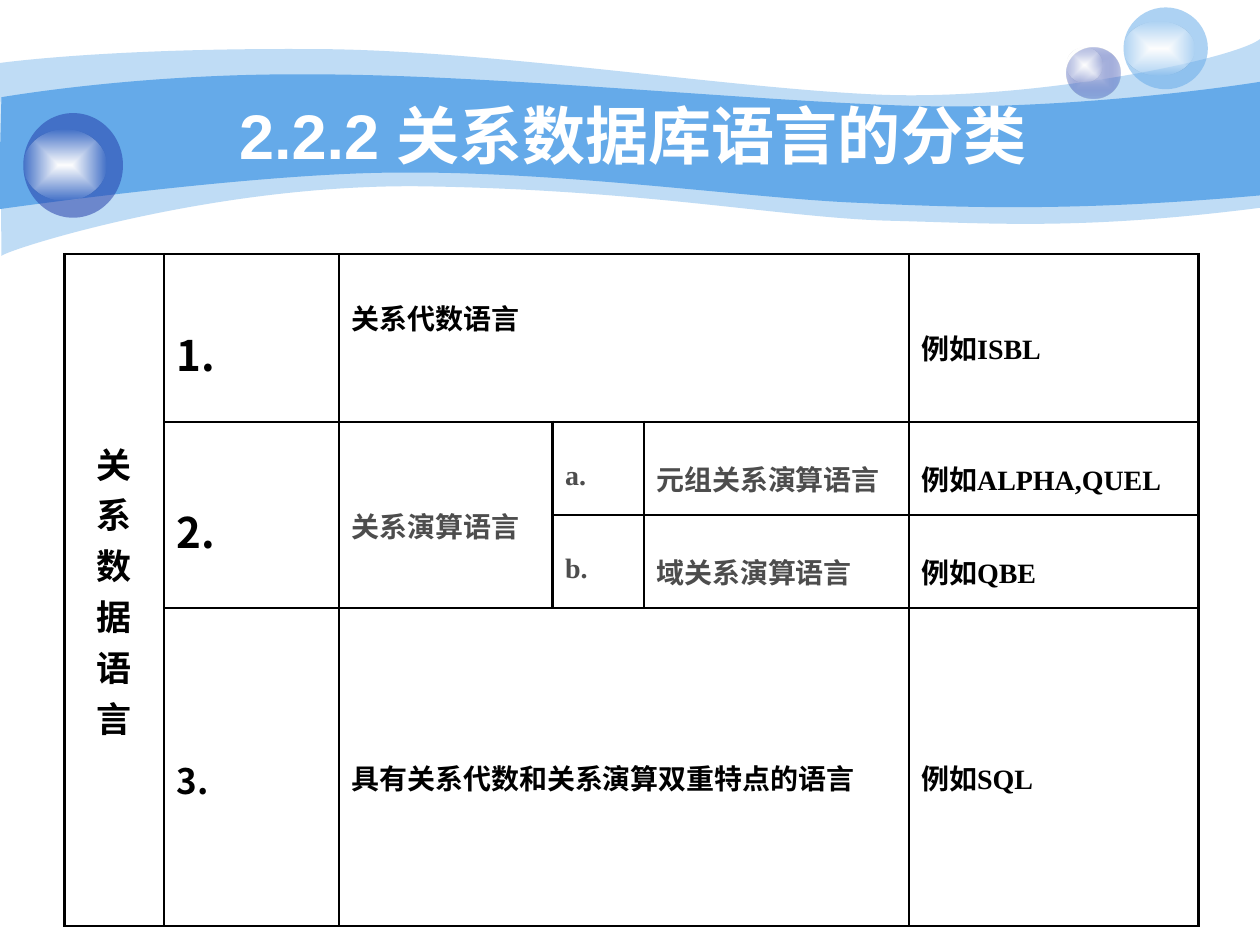
"""Build a slide that classifies relational database languages in a table."""
from dataclasses import dataclass

import lxml.etree
import pptx
import pptx.dml.color
import pptx.enum.shapes
import pptx.enum.text
import pptx.oxml.ns
import pptx.util
from pptx.util import Cm

SANS = "Noto Sans CJK SC"
SERIF = "Times New Roman"
SKY = "65AAE9"
NAVY = "233DA9"
WHITE = "FFFFFF"
BLACK = "000000"
GREY = "4D4D4D"
BORDER_POINTS = 1.47
COLUMN_WIDTHS = (2.01, 3.53, 4.3, 1.84, 5.34, 5.84)
ROW_HEIGHTS = (3.38, 1.88, 1.88, 6.4)

Point = tuple[float, float]


@dataclass(frozen=True)
class Stop:
    color: str
    opacity: int = 100


@dataclass(frozen=True)
class Band:
    upper: tuple[Point, ...]
    lower: tuple[Point, ...]
    stop: Stop


@dataclass(frozen=True)
class Bubble:
    left: float
    top: float
    width: float
    height: float
    stops: tuple[Stop, ...]


@dataclass(frozen=True)
class Entry:
    row: int
    column: int
    text: str
    latin: str = ""
    rows: int = 1
    columns: int = 1
    size: int = 16
    font: str = SANS
    color: str = BLACK
    spacing: float = 1.5
    centered: bool = False
    bottom: float = 0.13


GLOW = (Stop(WHITE), Stop(WHITE, 0))

BANDS = (
    Band(
        ((0, 1.27), (0.61, 1.19), (2.72, 0.97), (6.27, 0.99), (9.8, 0.99),
         (14.61, 1.78), (17.75, 1.91), (20.88, 2.03), (24.89, 1.19), (25.4, 0.79)),
        ((25.4, 4.19), (21.79, 4.65), (19.99, 4.5), (17.91, 4.45), (15.8, 4.39),
         (13.08, 3.84), (8.71, 3.76), (4.37, 3.66), (0.1, 5.05), (0.03, 5.16)),
        Stop(SKY, 41),
    ),
    Band(
        ((0.03, 1.96), (0.05, 1.96), (2.79, 1.47), (6.3, 1.5), (9.8, 1.5),
         (15.11, 2.03), (18.24, 2.13), (21.36, 2.24), (24.79, 1.75), (25.4, 1.65)),
        ((25.4, 3.94), (21.67, 4.27), (19.43, 4.19), (17.32, 4.09), (15.21, 4.01),
         (11.35, 3.45), (8.05, 3.48), (5.16, 3.48), (-0.05, 4.22), (-0.03, 4.22)),
        Stop(SKY),
    ),
)

BUBBLES = (
    Bubble(21.51, 0.97, 1.07, 1.02, (Stop("C7CEE9"), Stop(NAVY, 31))),
    Bubble(21.51, 0.97, 0.71, 0.69, GLOW),
    Bubble(22.65, 0.15, 1.7, 1.65, (Stop(SKY, 53),)),
    Bubble(22.65, 0.43, 1.42, 1.09, GLOW),
    Bubble(0.47, 2.28, 2.01, 2.11, (Stop(NAVY, 53),)),
    Bubble(0.47, 2.62, 1.68, 1.42, GLOW),
)

ENTRIES = (
    Entry(0, 0, "关\n系\n数\n据\n语\n言", rows=4, size=20, font=SERIF, spacing=1, centered=True),
    Entry(0, 1, "1.", size=24),
    Entry(0, 2, "关系代数语言", columns=3, bottom=1.35),
    Entry(0, 5, "例如", "ISBL"),
    Entry(1, 1, "2.", rows=2, size=24),
    Entry(1, 2, "关系演算语言", rows=2, color=GREY),
    Entry(1, 3, "a.", font=SERIF, color=GREY),
    Entry(1, 4, "元组关系演算语言", color=GREY),
    Entry(1, 5, "例如", "ALPHA,QUEL"),
    Entry(2, 3, "b.", font=SERIF, color=GREY),
    Entry(2, 4, "域关系演算语言", color=GREY),
    Entry(2, 5, "例如", "QBE"),
    Entry(3, 1, "3.", size=20),
    Entry(3, 2, "具有关系代数和关系演算双重特点的语言", columns=3),
    Entry(3, 5, "例如", "SQL"),
)


def rgb(color: str) -> pptx.dml.color.RGBColor:
    return pptx.dml.color.RGBColor.from_string(color)


def add_element(parent, tag: str, **attributes: str):
    return lxml.etree.SubElement(parent, pptx.oxml.ns.qn(tag), attributes)


def write_text(paragraph, text: str, *, size: int, font: str, color: str,
               spacing: float = 1, centered: bool = False) -> None:
    alignment = pptx.enum.text.PP_ALIGN
    paragraph.alignment = alignment.CENTER if centered else alignment.LEFT
    paragraph.line_spacing = spacing
    run = paragraph.add_run()
    run.text = text
    run.font.size = pptx.util.Pt(size)
    run.font.bold = True
    run.font.name = font
    run.font.color.rgb = rgb(color)
    add_element(run._r.get_or_add_rPr(), "a:ea", typeface=SANS)


def paint(shape, stops: tuple[Stop, ...]) -> None:
    shape.shadow.inherit = False
    shape.line.fill.background()
    properties = shape.element.spPr
    if len(stops) == 1:
        shape.fill.solid()
        shape.fill.fore_color.rgb = rgb(stops[0].color)
    else:
        shape.fill.gradient()
        for gradient_stop, stop in zip(shape.fill.gradient_stops, stops):
            gradient_stop.color.rgb = rgb(stop.color)
        gradient = properties.find(pptx.oxml.ns.qn("a:gradFill"))
        gradient.remove(gradient.find(pptx.oxml.ns.qn("a:lin")))
        center = add_element(gradient, "a:path", path="rect")
        add_element(center, "a:fillToRect", l="50000", t="50000", r="50000", b="50000")
    for color, stop in zip(properties.iter(pptx.oxml.ns.qn("a:srgbClr")), stops):
        if stop.opacity < 100:
            add_element(color, "a:alpha", val=str(stop.opacity * 1000))


def bend_edges(shape, edge_length: int) -> None:
    """Turn the straight segments along both edges into cubic curves."""
    lines = list(shape.element.spPr.iter(pptx.oxml.ns.qn("a:lnTo")))
    for edge in (lines[:edge_length - 1], lines[edge_length:2 * edge_length - 1]):
        for first in range(0, len(edge), 3):
            curve = lxml.etree.Element(pptx.oxml.ns.qn("a:cubicBezTo"))
            edge[first].addprevious(curve)
            for line in edge[first:first + 3]:
                curve.append(line[0])
                line.getparent().remove(line)


def draw_band(slide, band: Band) -> None:
    outline = [(Cm(x), Cm(y)) for x, y in band.upper + band.lower]
    builder = slide.shapes.build_freeform(*outline[0])
    builder.add_line_segments(outline[1:], close=True)
    shape = builder.convert_to_shape()
    bend_edges(shape, len(band.upper))
    paint(shape, (band.stop,))


def draw_bubble(slide, bubble: Bubble) -> None:
    shape = slide.shapes.add_shape(
        pptx.enum.shapes.MSO_SHAPE.OVAL, Cm(bubble.left), Cm(bubble.top),
        Cm(bubble.width), Cm(bubble.height))
    paint(shape, bubble.stops)


def draw_title(slide, text: str) -> None:
    frame = slide.shapes.add_textbox(Cm(2.5), Cm(1.93), Cm(20.52), Cm(1.57)).text_frame
    frame.word_wrap = True
    frame.vertical_anchor = pptx.enum.text.MSO_ANCHOR.MIDDLE
    write_text(frame.paragraphs[0], text, size=36, font="Arial", color=WHITE, centered=True)


def frame_cell(cell) -> None:
    properties = cell._tc.get_or_add_tcPr()
    for side in ("a:lnL", "a:lnR", "a:lnT", "a:lnB"):
        line = add_element(properties, side, w=str(int(pptx.util.Pt(BORDER_POINTS))))
        add_element(add_element(line, "a:solidFill"), "a:srgbClr", val=BLACK)
    cell.fill.background()


def fill_cell(table, entry: Entry) -> None:
    cell = table.cell(entry.row, entry.column)
    if entry.rows * entry.columns > 1:
        cell.merge(table.cell(entry.row + entry.rows - 1, entry.column + entry.columns - 1))
    cell.vertical_anchor = pptx.enum.text.MSO_ANCHOR.MIDDLE
    cell.margin_bottom = Cm(entry.bottom)
    style = dict(size=entry.size, color=entry.color, spacing=entry.spacing, centered=entry.centered)
    frame = cell.text_frame
    for index, text in enumerate(entry.text.split("\n")):
        paragraph = frame.add_paragraph() if index else frame.paragraphs[0]
        write_text(paragraph, text, font=entry.font, **style)
    if entry.latin:
        write_text(paragraph, entry.latin, font=SERIF, **style)


def draw_table(slide) -> None:
    table = slide.shapes.add_table(
        len(ROW_HEIGHTS), len(COLUMN_WIDTHS), Cm(1.3), Cm(5.12),
        Cm(sum(COLUMN_WIDTHS)), Cm(sum(ROW_HEIGHTS))).table
    table.first_row = table.horz_banding = False
    for column, width in zip(table.columns, COLUMN_WIDTHS):
        column.width = Cm(width)
    for row, height in zip(table.rows, ROW_HEIGHTS):
        row.height = Cm(height)
    for cell in table.iter_cells():
        frame_cell(cell)
    for entry in ENTRIES:
        fill_cell(table, entry)


def main() -> None:
    presentation = pptx.Presentation()
    presentation.slide_width, presentation.slide_height = Cm(25.4), Cm(19.05)
    slide = presentation.slides.add_slide(presentation.slide_layouts[6])
    for band in BANDS:
        draw_band(slide, band)
    for bubble in BUBBLES:
        draw_bubble(slide, bubble)
    draw_title(slide, "2.2.2 关系数据库语言的分类")
    draw_table(slide)
    presentation.save("out.pptx")


if __name__ == "__main__":
    main()
